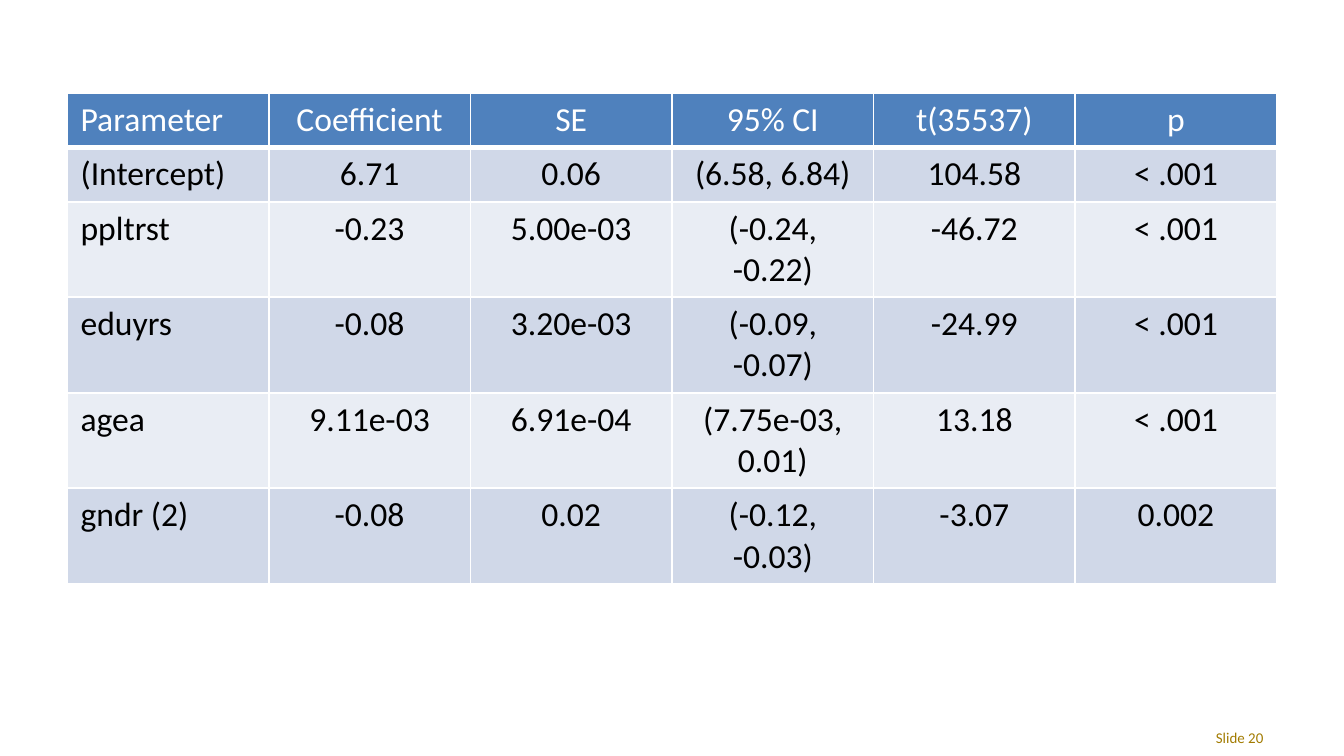
from lxml.etree import SubElement
from pptx import Presentation
from pptx.dml.color import RGBColor
from pptx.enum.text import MSO_ANCHOR, PP_ALIGN
from pptx.oxml.ns import qn
from pptx.util import Inches, Pt

COLORS = {"header": "4F81BD", "odd": "D0D8E8", "even": "E9EDF4",
          "white": "FFFFFF", "black": "000000", "gold": "A27B00"}
FONT = "Calibri"

ROWS = [
    ("Parameter", "Coefficient", "SE", "95% CI", "t(35537)", "p"),
    ("(Intercept)", "6.71", "0.06", "(6.58, 6.84)", "104.58", "< .001"),
    ("ppltrst", "-0.23", "5.00e-03", "(-0.24, -0.22)", "-46.72", "< .001"),
    ("eduyrs", "-0.08", "3.20e-03", "(-0.09, -0.07)", "-24.99", "< .001"),
    ("agea", "9.11e-03", "6.91e-04", "(7.75e-03, 0.01)", "13.18", "< .001"),
    ("gndr (2)", "-0.08", "0.02", "(-0.12, -0.03)", "-3.07", "0.002"),
]


def write(frame, text, size, color, align):
    frame.text = text
    paragraph = frame.paragraphs[0]
    paragraph.alignment = align
    font = paragraph.runs[0].font
    font.name, font.size, font.bold = FONT, Pt(size), False
    font.color.rgb = RGBColor.from_string(COLORS[color])


def add_borders(cell, color, widths):
    properties = cell._tc.get_or_add_tcPr()
    for position, (side, width) in enumerate(widths.items()):
        line = SubElement(properties, qn(side), w=str(Pt(width)))
        fill = SubElement(line, qn("a:solidFill"))
        SubElement(fill, qn("a:srgbClr"), val=COLORS[color])
        properties.insert(position, line)


# Widescreen slide, 16:9
prs = Presentation()
prs.slide_width = Inches(10)
prs.slide_height = Inches(10) * 9 // 16
slide = prs.slides.add_slide(prs.slide_layouts[6])

# Regression results; rows grow to fit their text
results = slide.shapes.add_table(
    len(ROWS), len(ROWS[0]),
    Inches(0.5), Inches(0.69), Inches(9), Inches(1.95)).table
for r, values in enumerate(ROWS):
    band = "header" if r == 0 else "odd" if r % 2 else "even"
    for c, value in enumerate(values):
        cell = results.cell(r, c)
        write(cell.text_frame, value, 18, "black" if r else "white",
              PP_ALIGN.CENTER if c else PP_ALIGN.LEFT)
        cell.fill.solid()
        cell.fill.fore_color.rgb = RGBColor.from_string(COLORS[band])
        add_borders(cell, "white", {"a:lnL": 1, "a:lnR": 1, "a:lnT": 1,
                                    "a:lnB": 1 if r else 3})

# Slide number
slide_number = slide.shapes.add_textbox(
    Inches(8.77), Inches(5.4), Inches(0.73), Inches(0.18)).text_frame
slide_number.word_wrap = True
slide_number.vertical_anchor = MSO_ANCHOR.MIDDLE
write(slide_number, "Slide 20", 8, "gold", PP_ALIGN.RIGHT)

prs.save("out.pptx")
